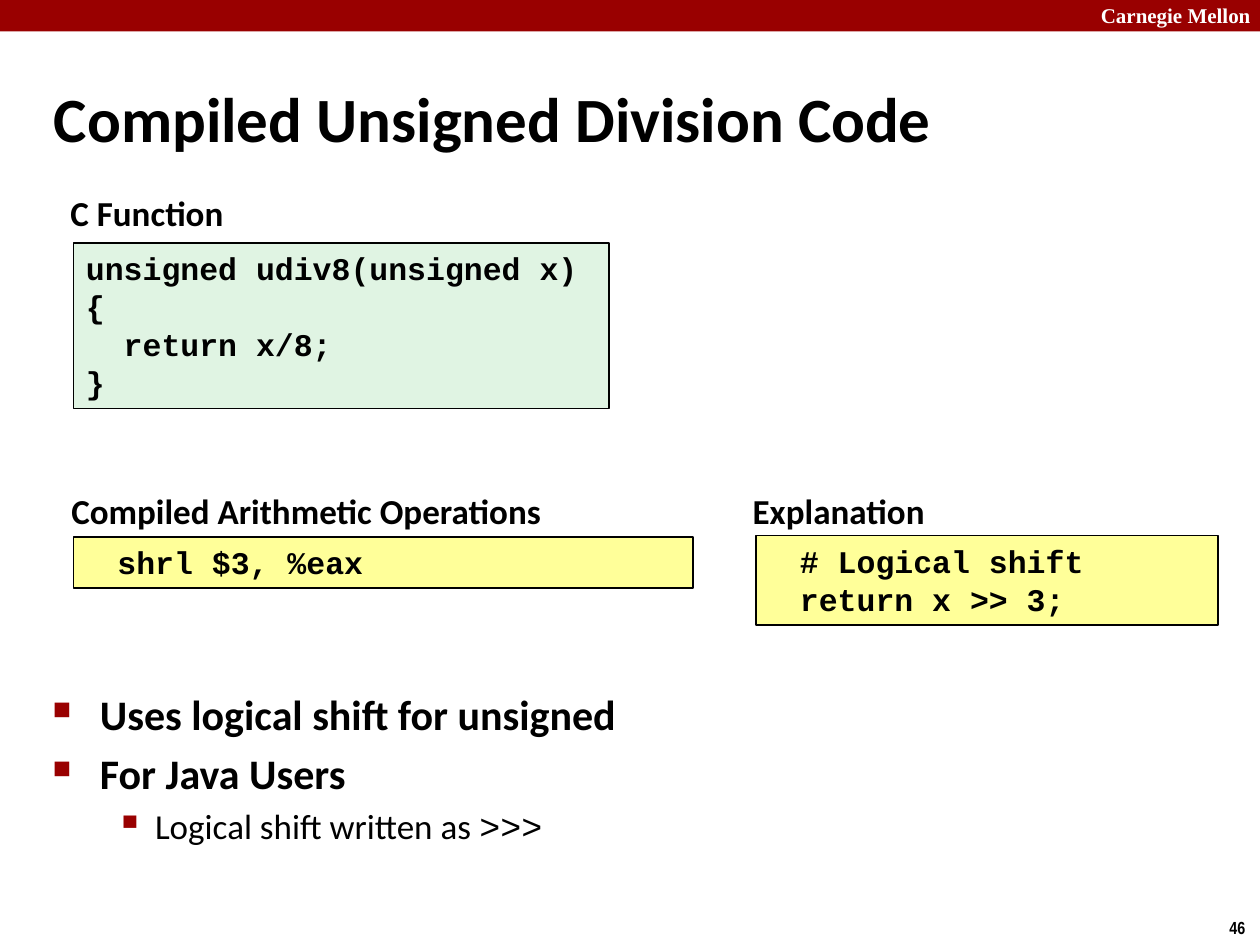
from lxml import etree
from pptx import Presentation, util as u
from pptx.dml.color import RGBColor
from pptx.enum import shapes, text
from pptx.oxml.ns import qn

Pt = u.Pt
CODE = dict(name="Courier New", size=Pt(18), bold=True)
HEADING = dict(name="Calibri", size=Pt(20), bold=True)


def rgb(value):
    return RGBColor.from_string(value)


def write(tf, runs, fmt, color="000000", new=False):
    """Fill the first paragraph, or a new one, with (text, format changes) runs."""
    p = tf.add_paragraph() if new else tf.paragraphs[0]
    for words, changes in runs:
        r = p.add_run()
        r.text = words
        for key, value in {**fmt, **changes}.items():
            setattr(r.font, key, value)
        r.font.color.rgb = rgb(color)
    return p


prs = Presentation()
prs.slide_width, prs.slide_height = Pt(720), Pt(540)
s = prs.slides.add_slide(prs.slide_layouts[6])

# Header band
band = s.shapes.add_shape(shapes.MSO_SHAPE.RECTANGLE, 0, 0, Pt(720), Pt(18))
band.shadow.inherit = False
band.fill.solid()
band.fill.fore_color.rgb = rgb("990000")
band.line.fill.background()

# Single-line labels: text, left, top, width, height, format, colour, inset, wrap
TITLE = dict(name="Calibri", size=Pt(36), bold=True)
SCHOOL = dict(name="Times New Roman", size=Pt(12), bold=True)
NUMBER = dict(name="Arial Narrow", size=Pt(10), bold=True)
labels = [
    ("Carnegie Mellon", 622, -2, 103, 21.6, SCHOOL, "FFFFFF", 7.2, True),
    ("46", 695.5, 520.5, 24.5, 19.5, NUMBER, "000000", 7.2, False),
    ("Compiled Unsigned Division Code", 23.75, 44.6, 624, 45.4, TITLE, "000000", 7.2, True),
    ("C Function", 36, 106, 96, 31.5, HEADING, "000000", 3.6, False),
    ("Compiled Arithmetic Operations", 36, 276, 278, 31.5, HEADING, "000000", 3.6, False),
    ("Explanation", 426, 276, 106.5, 31.5, HEADING, "000000", 3.6, False),
]
for words, x, y, w, h, fmt, color, inset, wrap in labels:
    tf = s.shapes.add_textbox(Pt(x), Pt(y), Pt(w), Pt(h)).text_frame
    tf.word_wrap = wrap
    tf.margin_left = tf.margin_right = Pt(inset)
    p = write(tf, [(words, {})], fmt, color)
    if fmt is HEADING:
        p.alignment = text.PP_ALIGN.CENTER
    if fmt is TITLE:
        tf.vertical_anchor = text.MSO_ANCHOR.MIDDLE

# Code boxes: left, top, width, height, fill, lines
code_boxes = [
    (42, 139, 306, 94.5, "E0F4E3",
     ["unsigned udiv8(unsigned x)", "{", "  return x/8;", "}"]),
    (42, 307, 354, 29, "FFFF99", ["\tshrl\t$3, %eax"]),
    (432, 306, 264, 51, "FFFF99", ["\t# Logical shift", "\treturn x >> 3;"]),
]
for x, y, w, h, fill, lines in code_boxes:
    sp = s.shapes.add_shape(shapes.MSO_SHAPE.RECTANGLE, Pt(x), Pt(y), Pt(w), Pt(h))
    sp.shadow.inherit = False
    sp.fill.solid()
    sp.fill.fore_color.rgb = rgb(fill)
    sp.line.color.rgb = rgb("000000")
    sp.line.width = Pt(1)
    tf = sp.text_frame
    tf.word_wrap = True
    tf.vertical_anchor = text.MSO_ANCHOR.TOP
    for i, line in enumerate(lines):
        p = write(tf, [(line, {})], CODE, new=i > 0)
        p.alignment = text.PP_ALIGN.LEFT
        if line.startswith("\t"):
            tabs = etree.SubElement(p._p.get_or_add_pPr(), qn("a:tabLst"))
            etree.SubElement(tabs, qn("a:tab"), pos=str(Pt(18)), algn="l")

# Bulleted notes: runs, size, bold, level, left margin, hang, bullet, bullet size
notes = [
    ([("Uses logical shift for unsigned", {})], 24, True, 0, 27, 27, "■", 60),
    ([("For Java Users", {})], 24, True, 0, 27, 27, "■", 60),
    ([("Logical shift written as ", {}), (">>>", dict(name="Courier New"))],
     20, False, 1, 58.5, 22.5, "▪", 110),
]
tf = s.shapes.add_textbox(Pt(23), Pt(390), Pt(654.5), Pt(93.5)).text_frame
tf.word_wrap = True
for i, (runs, size, bold, level, margin, hang, mark, percent) in enumerate(notes):
    p = write(tf, runs, dict(name="Calibri", size=Pt(size), bold=bold), new=i > 0)
    p.level = level
    if i:
        p.space_before = Pt(size * 0.2)
    pPr = p._p.get_or_add_pPr()
    pPr.set("marL", str(Pt(margin)))
    pPr.set("indent", str(-Pt(hang)))
    color = etree.SubElement(pPr, qn("a:buClr"))
    etree.SubElement(color, qn("a:srgbClr"), val="990000")
    etree.SubElement(pPr, qn("a:buSzPct"), val=str(percent * 1000))
    etree.SubElement(pPr, qn("a:buChar"), char=mark)

prs.save("out.pptx")
